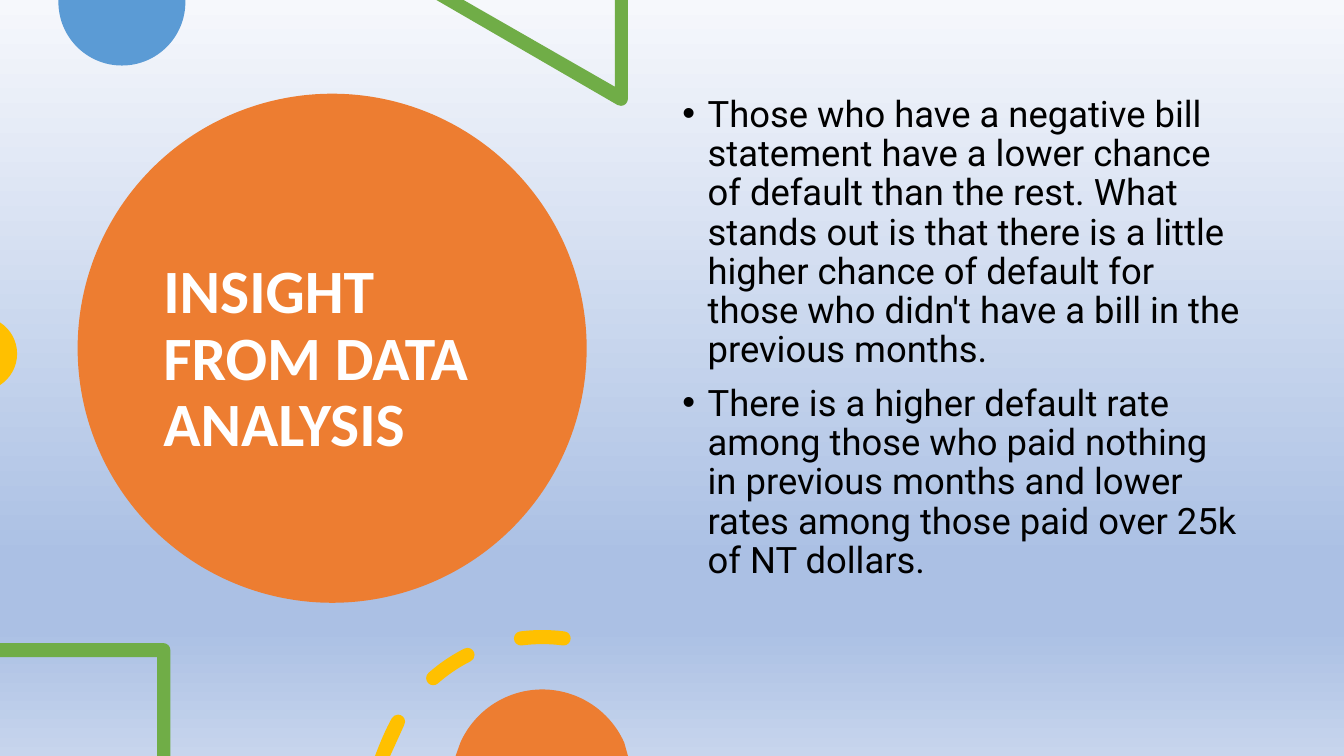
from math import cos, radians, sin, tan

from lxml import etree
from pptx import Presentation
from pptx.dml.color import RGBColor
from pptx.enum.shapes import MSO_SHAPE
from pptx.enum.text import MSO_ANCHOR, MSO_AUTO_SIZE, PP_ALIGN
from pptx.oxml.ns import qn
from pptx.util import Inches, Pt

OVAL = MSO_SHAPE.OVAL
TOP, MIDDLE = MSO_ANCHOR.TOP, MSO_ANCHOR.MIDDLE
FIXED = MSO_AUTO_SIZE.NONE
LEFT = PP_ALIGN.LEFT

COLORS = {
    "orange": "ED7D31", "blue": "5B9BD5", "green": "70AD47",
    "yellow": "FFC000", "white": "FFFFFF", "black": "000000",
}
SKY = {0: "F6F8FC", 74: "ABC0E4", 83: "ABC0E4", 100: "C7D5ED"}

TITLE = "INSIGHT FROM DATA ANALYSIS"
POINTS = [
    "Those who have a negative bill statement have a lower chance of default "
    "than the rest. What stands out is that there is a little higher chance "
    "of default for those who didn't have a bill in the previous months.",
    "There is a higher default rate among those who paid nothing in previous "
    "months and lower rates among those paid over 25k of NT dollars.",
]


def rgb(name):
    return RGBColor.from_string(COLORS[name])


def paint(shape, color):
    shape.shadow.inherit = False
    shape.fill.solid()
    shape.fill.fore_color.rgb = rgb(color)
    shape.line.fill.background()


def spot(x, y, r, turn):
    return x + r * cos(radians(turn)), y + r * sin(radians(turn))


def line(*points):
    """Straight steps: one point each."""
    return [[point] for point in points]


def arc(x, y, r, start, end):
    """Curve steps of three points, split where the circle meets its axes."""
    low, high = sorted((start, end))
    cuts = [low] + [t for t in range(-360, 721, 90) if low < t < high] + [high]
    if end < start:
        cuts.reverse()
    steps = line(spot(x, y, r, start))
    for a, b in zip(cuts, cuts[1:]):
        pull = 4 / 3 * tan(radians(b - a) / 4) * r
        (ax, ay), (bx, by) = spot(x, y, r, a), spot(x, y, r, b)
        (ua, va), (ub, vb) = spot(0, 0, pull, a), spot(0, 0, pull, b)
        steps.append([(ax - va, ay + ua), (bx + vb, by - ub), (bx, by)])
    return steps


def dash(x, y, r, half, start, end):
    """Round-ended piece of a ring."""
    head, tail = spot(x, y, r, start), spot(x, y, r, end)
    return (arc(x, y, r + half, start, end)
            + arc(*tail, half, end, end + 180)[1:]
            + arc(x, y, r - half, end, start)[1:]
            + arc(*head, half, start - 180, start)[1:])


def outline(slide, color, *loops):
    """Filled freeform made of one or more closed loops."""
    pen = None
    for loop in loops:
        first, *rest = [(Inches(x), Inches(y)) for step in loop for x, y in step]
        if pen:
            pen.move_to(*first)
        else:
            pen = slide.shapes.build_freeform(*first)
        pen.add_line_segments(rest, close=True)
    shape = pen.convert_to_shape()

    # Join the three points of each curve step into one Bezier
    nodes = iter(list(shape.element.iter(qn("a:lnTo"))))
    for step in [step for loop in loops for step in loop[1:]]:
        group = [next(nodes) for _ in step]
        if len(group) == 3:
            curve = etree.Element(qn("a:cubicBezTo"))
            group[0].addprevious(curve)
            for node in group:
                curve.append(node[0])
                node.getparent().remove(node)
    paint(shape, color)
    return shape


def write(shape, texts, box, font, size, color, bold=False, anchor=TOP,
          before=0, indent=None):
    shape.left, shape.top, shape.width, shape.height = map(Inches, box)
    frame = shape.text_frame
    frame.word_wrap = True
    frame.auto_size = FIXED
    frame.vertical_anchor = anchor
    for i, text in enumerate(texts):
        para = frame.add_paragraph() if i else frame.paragraphs[0]
        para.alignment = LEFT
        para.line_spacing = 0.9
        para.space_before = Pt(before)
        if indent:
            props = para._p.get_or_add_pPr()
            props.set("marL", str(Inches(indent)))
            props.set("indent", str(-Inches(indent)))
            etree.SubElement(props, qn("a:buFont"), typeface="Arial")
            etree.SubElement(props, qn("a:buChar"), char="•")
        run = para.add_run()
        run.text = text
        run.font.name, run.font.size, run.font.bold = font, Pt(size), bold
        run.font.color.rgb = rgb(color)


def shade(slide):
    fill = slide.background.fill
    fill.gradient()
    fill.gradient_angle = 270
    stops = slide.element.find(".//" + qn("a:gsLst"))
    for stop in list(stops):
        stops.remove(stop)
    for place, color in SKY.items():
        stop = etree.SubElement(stops, qn("a:gs"), pos=str(place * 1000))
        etree.SubElement(stop, qn("a:srgbClr"), val=color)


def main():
    deck = Presentation()
    deck.slide_width, deck.slide_height = Inches(40 / 3), Inches(7.5)
    slide = deck.slides.add_slide(deck.slide_layouts[1])
    shade(slide)

    # Title on its disc
    title, body = slide.placeholders
    disc = slide.shapes.add_shape(OVAL, *map(Inches, (0.77, 0.93, 5.05, 5.05)))
    paint(disc, "orange")
    title.element.addprevious(disc.element)
    write(title, [TITLE], (1.52, 1.35, 3.54, 4.45), font="Calibri", size=44,
          color="white", bold=True, anchor=MIDDLE)

    # Top: half disc and triangle corner
    outline(slide, "blue", line((1.84, 0), (0.58, 0))
            + arc(1.21, 0.02, 0.63, 180, 0))
    outline(slide, "green", line((6.23, 0), (6.1, 0), (6.1, 0.86), (4.6, 0),
                                 (4.33, 0)) + arc(6.16, 0.98, 0.07, 120, 0))

    # Left edge: disc segment
    edge = outline(slide, "yellow", arc(-0.2, 3.51, 0.37, -57, 57))

    # List
    edge.element.addnext(body.element)
    write(body, POINTS, (6.67, 0.9, 5.75, 5.35), font="Roboto", size=26,
          color="black", before=10, indent=0.25)

    # Bottom: square corner, dashed ring and disc segment
    outline(slide, "green", line((0, 6.38), (0, 6.52), (1.56, 6.52), (1.56, 7.5),
                                 (1.69, 7.5)) + arc(1.62, 6.45, 0.07, 0, -90))
    x, y, r, half = ring = (5.38, 7.96, 1.64, 0.07)
    cut = (line((3.87, 7.5), (3.72, 7.5)) + arc(x, y, r + half, 196, 209.2)[1:]
           + arc(*spot(x, y, r, 209.2), half, 209.2, 389.2)[1:])
    outline(slide, "yellow", cut, dash(*ring, 228.7, 243.1),
            dash(*ring, 262.6, 277.4))
    outline(slide, "orange", line((6.23, 7.5), (4.52, 7.5))
            + arc(5.38, 7.73, 0.89, 204, 336))

    deck.save("out.pptx")


if __name__ == "__main__":
    main()
